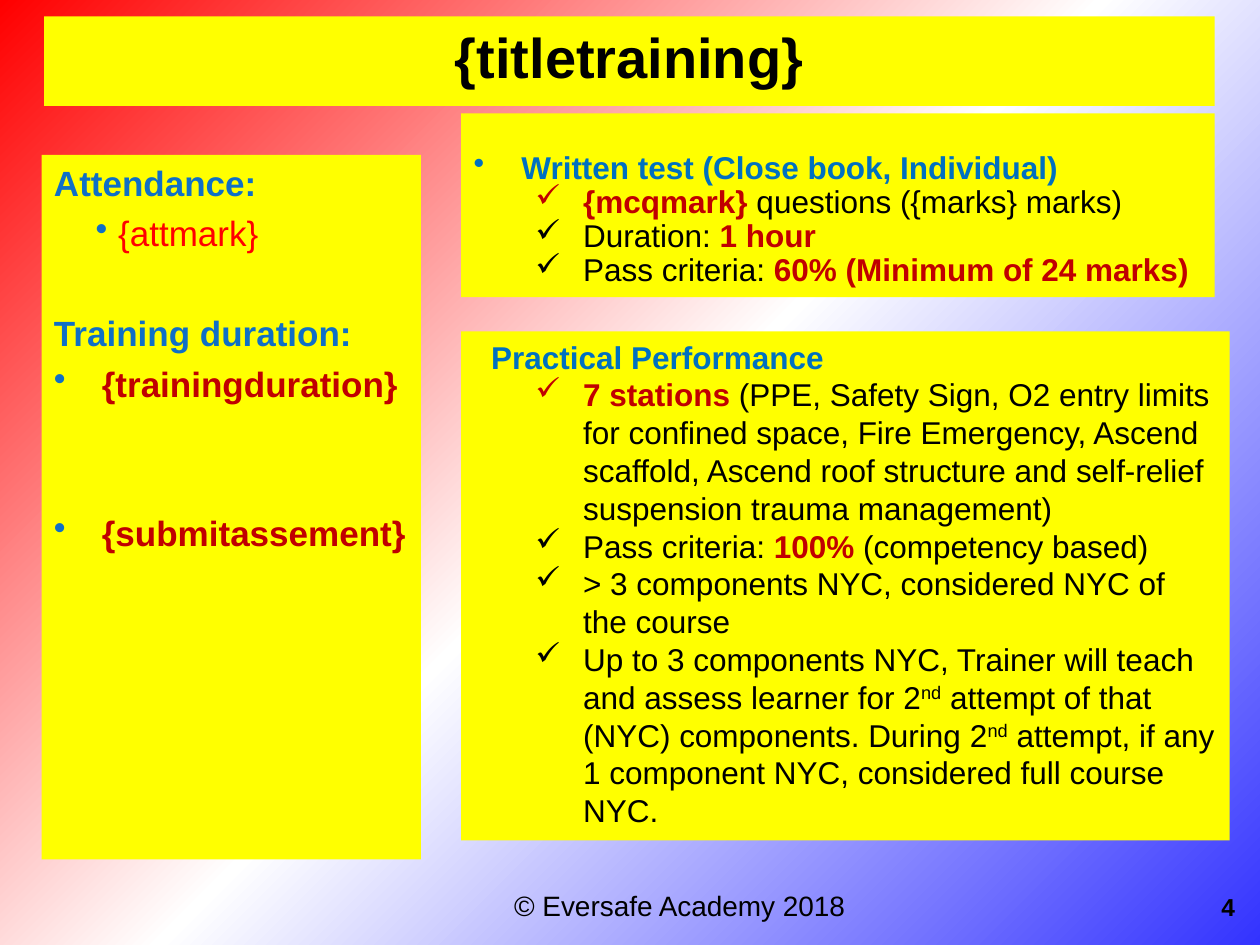
from copy import deepcopy

from lxml.etree import SubElement
from pptx import Presentation
from pptx.dml.color import RGBColor
from pptx.enum.shapes import MSO_SHAPE
from pptx.enum.text import MSO_ANCHOR as Anchor, PP_ALIGN as Align
from pptx.oxml.ns import qn
from pptx.util import Inches, Pt

BLACK = RGBColor(0x00, 0x00, 0x00)
WHITE = RGBColor(0xFF, 0xFF, 0xFF)
YELLOW = RGBColor(0xFF, 0xFF, 0x00)
RED = RGBColor(0xFF, 0x00, 0x00)
DARK_RED = RGBColor(0xC0, 0x00, 0x00)
BLUE = RGBColor(0x0F, 0x6F, 0xC6)
HEADING_BLUE = RGBColor(0x00, 0x70, 0xC0)
DEEP_BLUE = RGBColor(0x33, 0x33, 0xFF)


def add_box(page, place, fill=None, anchor=Anchor.TOP, top_inset=0.05):
    """Add a plain or filled box and return its text frame."""
    lengths = [Inches(value) for value in place]
    if fill is None:
        box = page.shapes.add_textbox(*lengths)
    else:
        box = page.shapes.add_shape(MSO_SHAPE.RECTANGLE, *lengths)
        box.shadow.inherit = False
        box.fill.solid()
        box.fill.fore_color.rgb = fill
        box.line.fill.background()
    frame = box.text_frame
    frame.word_wrap = True
    frame.vertical_anchor = anchor
    frame.margin_top = Inches(top_inset)
    return frame


def add_para(frame, spans, size, bullet=None, bullet_color=None,
             left=0, hang=0, level=0, **formats):
    """Add a paragraph of (text, colour, bold[, baseline]) spans."""
    first = frame.paragraphs[0]
    para = frame.add_paragraph() if first.runs else first
    para.level = level
    props = para._p.get_or_add_pPr()
    props.set("marL", str(Inches(left)))
    props.set("indent", str(-Inches(hang)))
    if bullet_color is not None:
        color = SubElement(props, qn("a:buClr"))
        SubElement(color, qn("a:srgbClr"), val=str(bullet_color))
    if bullet:
        SubElement(props, qn("a:buChar"), char=bullet)
    for name, value in {"alignment": Align.LEFT, **formats}.items():
        setattr(para, name, value)
    for text, color, bold, *baseline in spans:
        span = para.add_run()
        span.text = text
        for name, value in {"name": "Arial", "size": Pt(size), "bold": bold}.items():
            setattr(span.font, name, value)
        span.font.color.rgb = color
        if baseline:
            span.font._rPr.set("baseline", str(baseline[0] * 1000))


deck = Presentation()
deck.slide_width, deck.slide_height = Inches(10), Inches(7.5)
page = deck.slides.add_slide(deck.slide_layouts[6])

# Diagonal background, blue at bottom right to red at top left
background = page.background.fill
background.gradient()
background.gradient_angle = 135
stop_list = background._xPr.find(qn("a:gradFill")).find(qn("a:gsLst"))
stop_list.append(deepcopy(stop_list[0]))
for stop, position, color in zip(background.gradient_stops, (0, 0.5, 1),
                                 (DEEP_BLUE, WHITE, RED)):
    stop.position = position
    stop.color.rgb = color

# Footer and page number
footer = add_box(page, (3.98, 7, 2.83, 0.37))
add_para(footer, [("© Eversafe Academy 2018", BLACK, False)], 16, alignment=Align.CENTER)
number = add_box(page, (8.94, 6.95, 0.96, 0.5), anchor=Anchor.MIDDLE)
add_para(number, [("4", BLACK, True)], 14, alignment=Align.RIGHT)

# Title
title = add_box(page, (0.35, 0.13, 9.29, 0.71), YELLOW)
add_para(title, [("{titletraining}", BLACK, True)], 32, alignment=Align.CENTER)

# Attendance and training duration
attendance = add_box(page, (0.33, 1.23, 3.01, 5.59), YELLOW)
dot = {"bullet": "•", "bullet_color": BLUE}
item = {**dot, "left": 0.38, "hang": 0.38}
for text, color, bold, space, layout in (
    ("Attendance:", BLUE, True, 0, {}),
    ("{attmark}", RED, False, 5, {**dot, "left": 0.51, "hang": 0.18, "level": 1}),
    ("Training duration:", BLUE, True, 33, {}),
    ("{trainingduration}", DARK_RED, True, 5, item),
    ("{submitassement}", DARK_RED, True, 61, item),
):
    add_para(attendance, [(text, color, bold)], 20, space_before=Pt(space), **layout)

check = {"bullet": "✓", "left": 0.87, "hang": 0.38, "level": 1}

# Practical performance
practical = add_box(page, (3.66, 2.63, 6.1, 4.04), YELLOW)
add_para(practical, [("Practical Performance", HEADING_BLUE, True)], 18, left=0.14)
for spans in (
    [("7 stations ", DARK_RED, True),
     ("(PPE, Safety Sign, O2 entry limits for confined space, Fire Emergency, "
      "Ascend scaffold, Ascend roof structure and self-relief suspension trauma "
      "management)", BLACK, False)],
    [("Pass criteria: ", BLACK, False), ("100% ", DARK_RED, True),
     ("(competency based)", BLACK, False)],
    [("> 3 components NYC, considered NYC of the course", BLACK, False)],
    [("Up to 3 components NYC, Trainer will teach and assess learner for 2", BLACK, False),
     ("nd", BLACK, False, 30),
     (" attempt of that (NYC) components. During 2", BLACK, False),
     ("nd", BLACK, False, 30),
     (" attempt, if any 1 component NYC, considered full course NYC.", BLACK, False)],
):
    add_para(practical, spans, 18, **check)

# Written test
written = add_box(page, (3.66, 0.9, 5.98, 1.46), YELLOW, top_inset=0.31)
add_para(written, [("Written test (Close book, Individual)", HEADING_BLUE, True)], 18,
         bullet="•", left=0.38, hang=0.38, line_spacing=0.9)
for spans in (
    [("{mcqmark} ", DARK_RED, True), ("questions ({marks} marks)", BLACK, False)],
    [("Duration: ", BLACK, False), ("1 hour", DARK_RED, True)],
    [("Pass criteria: ", BLACK, False), ("60% (Minimum of 24 marks)", DARK_RED, True)],
):
    add_para(written, spans, 18, line_spacing=0.9, **check)

deck.save("out.pptx")
